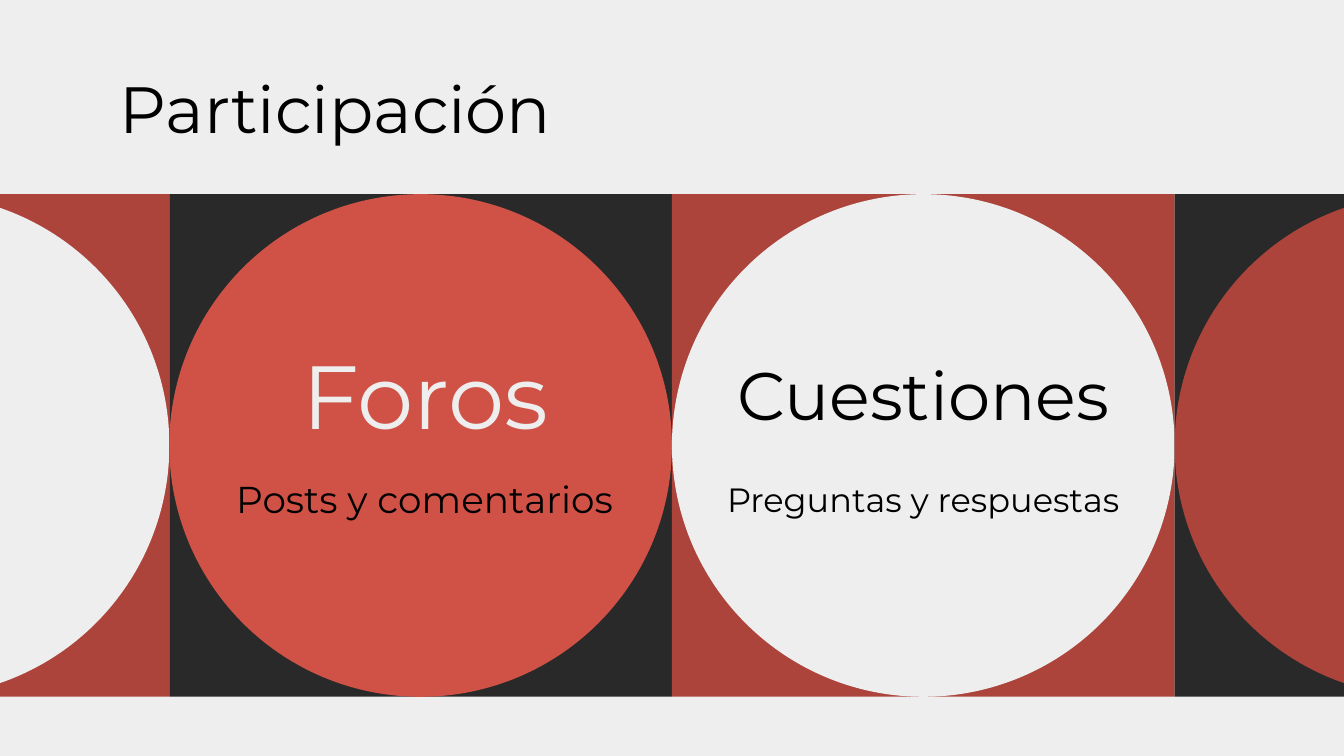
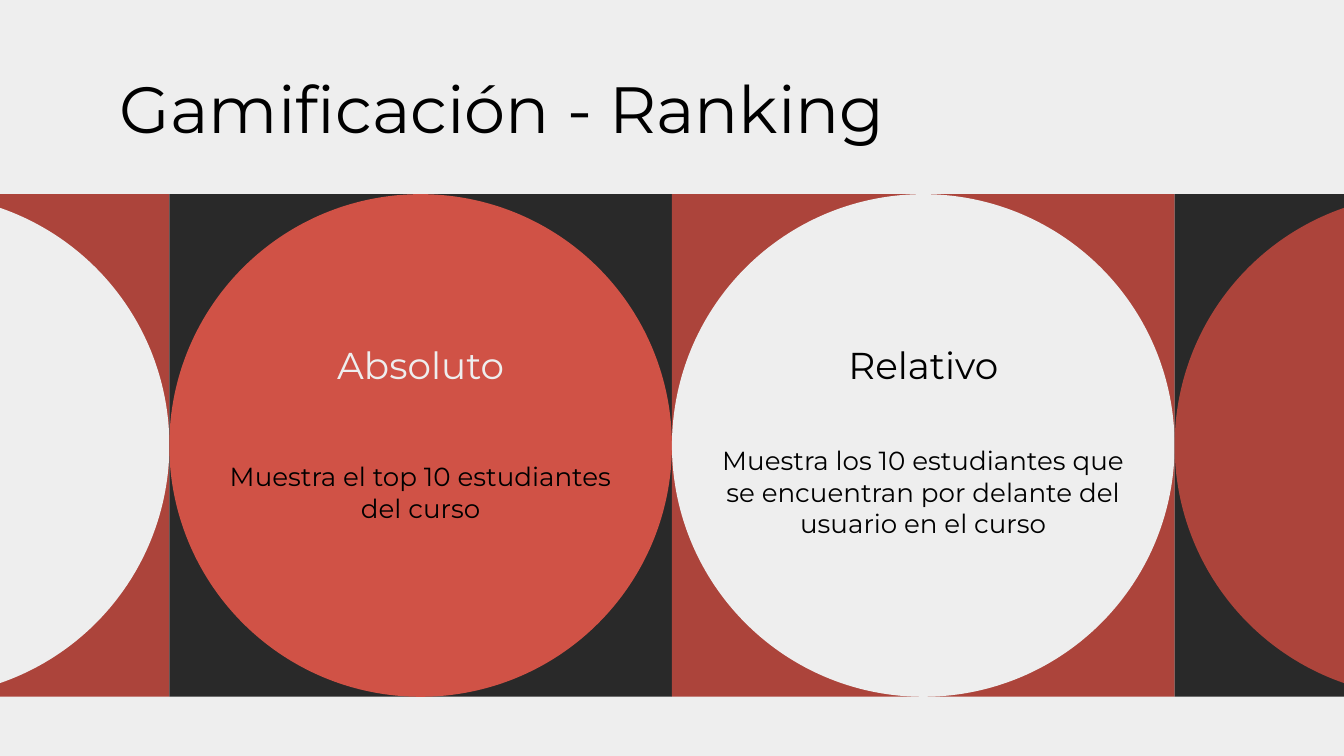
from dataclasses import dataclass

from pptx import Presentation
from pptx.dml.color import RGBColor
from pptx.enum.shapes import MSO_SHAPE
from pptx.enum.text import MSO_ANCHOR, MSO_AUTO_SIZE, PP_ALIGN
from pptx.util import Emu, Pt

# Lengths are in px, 200 px to the inch
PX = 4572
SLIDE_WIDTH, SLIDE_HEIGHT = 2000, 1125
TILE_SIZE, TILE_TOP, FIRST_TILE_LEFT = 748, 289, -496
INSET = 20

RECTANGLE, OVAL = MSO_SHAPE.RECTANGLE, MSO_SHAPE.OVAL
LEFT, CENTER = PP_ALIGN.LEFT, PP_ALIGN.CENTER
MIDDLE = MSO_ANCHOR.MIDDLE
NO_AUTOFIT = MSO_AUTO_SIZE.NONE

FONT = "Montserrat"
TITLE_SIZE = 35
PALE = RGBColor(0xEE, 0xEE, 0xEE)
BLACK = RGBColor(0x00, 0x00, 0x00)
CHARCOAL = RGBColor(0x29, 0x29, 0x29)
BRICK = RGBColor(0xAC, 0x44, 0x3B)
CORAL = RGBColor(0xD0, 0x52, 0x46)


@dataclass(frozen=True)
class Area:
    left: int
    top: int
    width: int
    height: int

    def emu(self) -> tuple:
        return tuple(Emu(n * PX) for n in
                     (self.left, self.top, self.width, self.height))


@dataclass(frozen=True)
class Tile:
    square: RGBColor
    circle: RGBColor


@dataclass(frozen=True)
class Label:
    text: str
    area: Area
    size: int
    color: RGBColor = BLACK


@dataclass(frozen=True)
class Topic:
    title: str
    labels: tuple


TITLE_AREA = Area(158, 97, 1686, 126)

# Row of tiles, left to right; the outer two run past the slide edges
TILES = (
    Tile(BRICK, PALE),
    Tile(CHARCOAL, CORAL),
    Tile(BRICK, PALE),
    Tile(CHARCOAL, BRICK),
)

TOPICS = (
    Topic("Participación", (
        Label("Foros", Area(309, 496, 648, 180), 48, PALE),
        Label("Cuestiones", Area(1056, 501, 636, 170), 36),
        Label("Posts y comentarios", Area(265, 623, 734, 238), 20),
        Label("Preguntas y respuestas", Area(1043, 623, 662, 238), 18),
    )),
    Topic("Gamificación - Ranking", (
        Label("Absoluto", Area(308, 480, 636, 124), 20, PALE),
        Label("Relativo", Area(1056, 480, 636, 124), 20),
        Label("Muestra el top 10 estudiantes del curso",
              Area(295, 613, 662, 238), 14),
        Label("Muestra los 10 estudiantes que se encuentran por delante "
              "del usuario en el curso", Area(1043, 613, 662, 238), 14),
    )),
)


def write_text(box, label: Label, align) -> None:
    """Format the text frame of a box and fill it with one run."""
    frame = box.text_frame
    frame.word_wrap = True
    frame.auto_size = NO_AUTOFIT
    frame.vertical_anchor = MIDDLE
    frame.margin_left = frame.margin_right = Emu(INSET * PX)
    frame.margin_top = frame.margin_bottom = Emu(INSET * PX)
    para = frame.paragraphs[0]
    para.alignment = align
    span = para.add_run()
    span.text = label.text
    span.font.name = FONT
    span.font.size = Pt(label.size)
    span.font.color.rgb = label.color


def add_title(page, text: str) -> None:
    title = page.shapes.title
    title.left, title.top, title.width, title.height = TITLE_AREA.emu()
    write_text(title, Label(text, TITLE_AREA, TITLE_SIZE), LEFT)


def add_tile(page, index: int, tile: Tile) -> None:
    """Draw a square with a circle that touches its four sides."""
    area = Area(FIRST_TILE_LEFT + index * TILE_SIZE, TILE_TOP,
                TILE_SIZE, TILE_SIZE)
    for preset, color in ((RECTANGLE, tile.square), (OVAL, tile.circle)):
        shape = page.shapes.add_shape(preset, *area.emu())
        shape.shadow.inherit = False
        shape.fill.solid()
        shape.fill.fore_color.rgb = color
        shape.line.fill.background()


def add_label(page, label: Label) -> None:
    box = page.shapes.add_textbox(*label.area.emu())
    write_text(box, label, CENTER)


def add_topic(deck, topic: Topic) -> None:
    page = deck.slides.add_slide(deck.slide_layouts.get_by_name("Title Only"))
    add_title(page, topic.title)
    for index, tile in enumerate(TILES):
        add_tile(page, index, tile)
    for label in topic.labels:
        add_label(page, label)


def main() -> None:
    deck = Presentation()
    deck.slide_width = Emu(SLIDE_WIDTH * PX)
    deck.slide_height = Emu(SLIDE_HEIGHT * PX)

    # Shared background
    background = deck.slide_master.background.fill
    background.solid()
    background.fore_color.rgb = PALE

    for topic in TOPICS:
        add_topic(deck, topic)
    deck.save("out.pptx")


if __name__ == "__main__":
    main()
